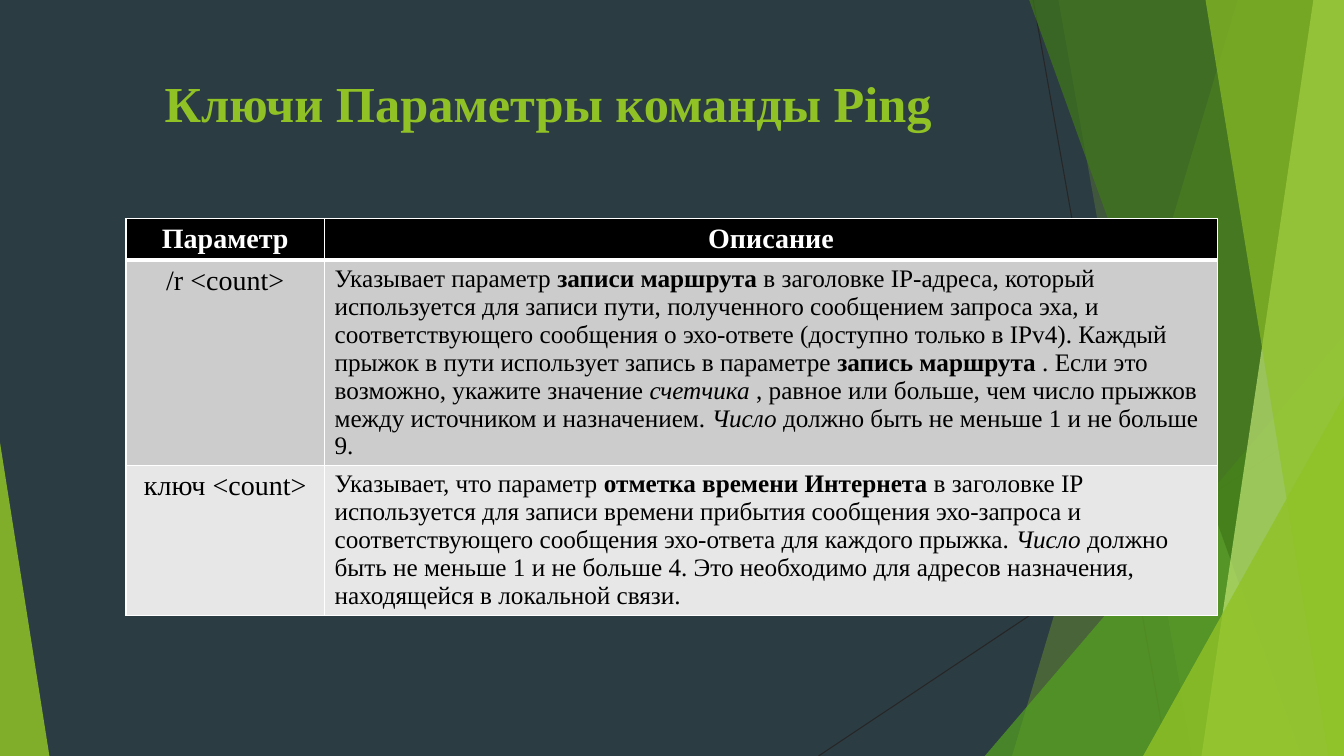
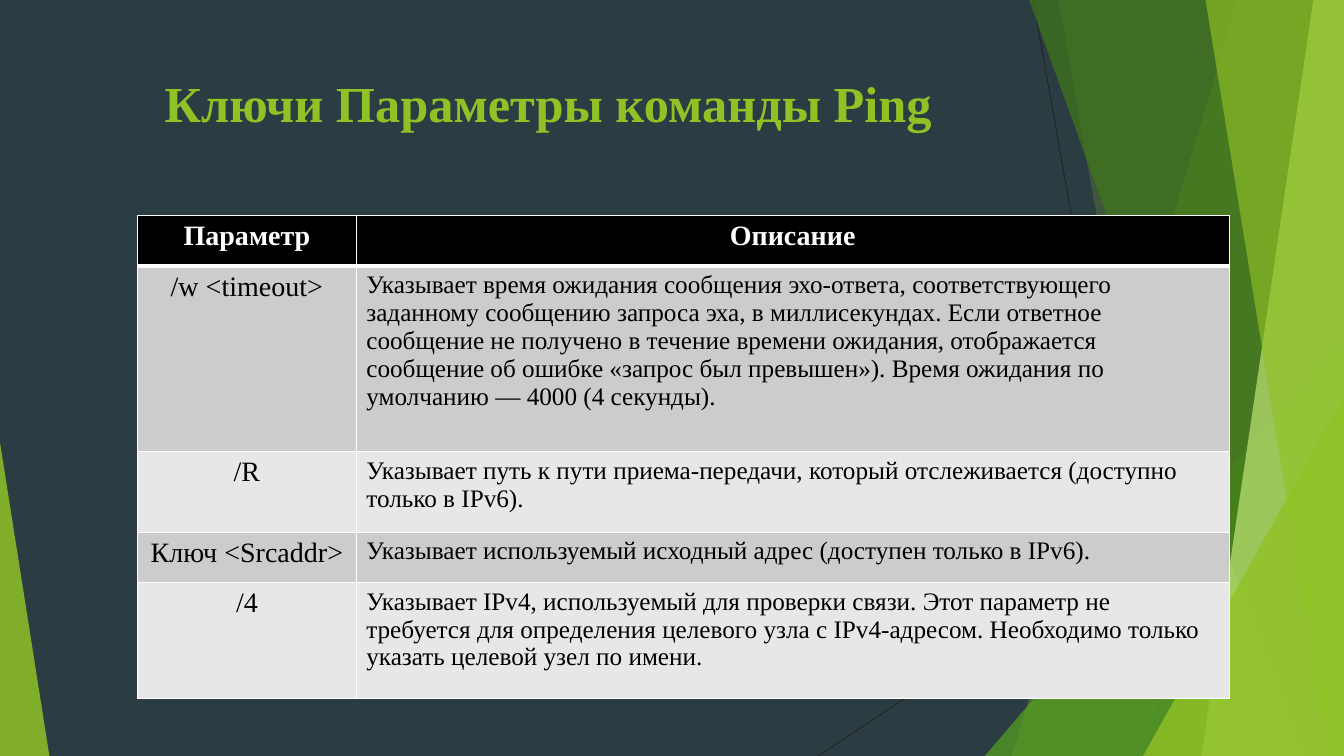
from dataclasses import dataclass

from lxml import etree
from pptx import Presentation
from pptx import util as u
from pptx.dml import color
from pptx.enum import shapes, text
from pptx.oxml import ns

COLORS = {
    "background": "2C3C43",
    "hairline": "262626",
    "lime": "90C226",
    "green": "54A021",
    "forest": "3F7819",
    "pale": "C0E474",
    "white": "FFFFFF",
    "black": "000000",
    "odd": "CCCCCC",
    "even": "E7E7E7",
}
FONT = "Times New Roman"
WIDTH, HEIGHT = 960, 540
HEADINGS = ("Параметр", "Описание")
TITLE = "Ключи Параметры команды Ping"


@dataclass(frozen=True)
class Hairline:
    start: tuple[float, float]
    end: tuple[float, float]


@dataclass(frozen=True)
class Panel:
    top_x: float
    bottom_x: float
    fill: str
    opacity: int


@dataclass(frozen=True)
class Triangle:
    left: float
    top: float
    right: float
    tip: float
    fill: str
    opacity: int


@dataclass(frozen=True)
class Piece:
    text: str
    bold: bool = False
    italic: bool = False


@dataclass(frozen=True)
class Option:
    key: str
    description: tuple[Piece, ...]


@dataclass(frozen=True)
class OptionTable:
    left: float
    top: float
    columns: tuple[float, float]
    heights: tuple[float, ...]
    options: tuple[Option, ...]


BACKDROP = (
    Hairline((738, 0), (833.76, HEIGHT)),
    Hairline((WIDTH, 290.16), (584.64, HEIGHT)),
    Panel(884.16, 722.88, "lime", 30),
    Panel(756, 851.76, "lime", 20),
    Triangle(703.44, 239.76, WIDTH, 1, "green", 72),
    Panel(735.12, 929.52, "forest", 70),
    Panel(938.16, 858.24, "pale", 70),
    Panel(861.12, 948.96, "lime", 65),
    Triangle(816.48, 282.96, WIDTH, 1, "lime", 80),
    Triangle(0, 316.08, 35.28, 0, "lime", 85),
)

TABLES = (
    OptionTable(90, 156.24, (141.84, 637.92), (29.5, 146, 107), (
        Option("/r <count>", (
            Piece("Указывает параметр "),
            Piece("записи маршрута", bold=True),
            Piece(" в заголовке IP-адреса, который используется для записи пути, "
                  "полученного сообщением запроса эха, и соответствующего сообщения "
                  "о эхо-ответе (доступно только в IPv4). Каждый прыжок в пути "
                  "использует запись в параметре "),
            Piece("запись маршрута", bold=True),
            Piece(" . Если это возможно, укажите значение "),
            Piece("счетчика", italic=True),
            Piece(" , равное или больше, чем число прыжков между источником "
                  "и назначением. "),
            Piece("Число", italic=True),
            Piece(" должно быть не меньше 1 и не больше 9."),
        )),
        Option("ключ <count>", (
            Piece("Указывает, что параметр "),
            Piece("отметка времени Интернета", bold=True),
            Piece(" в заголовке IP используется для записи времени прибытия "
                  "сообщения эхо-запроса и соответствующего сообщения эхо-ответа "
                  "для каждого прыжка. "),
            Piece("Число", italic=True),
            Piece(" должно быть не меньше 1 и не больше 4. Это необходимо для "
                  "адресов назначения, находящейся в локальной связи."),
        )),
    )),
    OptionTable(98.28, 154.08, (156.24, 623.52), (36, 132.48, 57.6, 36, 82.8), (
        Option("/w <timeout>", (
            Piece("Указывает время ожидания сообщения эхо-ответа, соответствующего "
                  "заданному сообщению запроса эха, в миллисекундах. Если ответное "
                  "сообщение не получено в течение времени ожидания, отображается "
                  "сообщение об ошибке «запрос был превышен»). Время ожидания по "
                  "умолчанию — 4000 (4 секунды)."),
        )),
        Option("/R", (
            Piece("Указывает путь к пути приема-передачи, который отслеживается "
                  "(доступно только в IPv6)."),
        )),
        Option("Ключ <Srcaddr>", (
            Piece("Указывает используемый исходный адрес (доступен только в IPv6)."),
        )),
        Option("/4", (
            Piece("Указывает IPv4, используемый для проверки связи. Этот параметр "
                  "не требуется для определения целевого узла с IPv4-адресом. "
                  "Необходимо только указать целевой узел по имени."),
        )),
    )),
)


def rgb(name: str) -> color.RGBColor:
    return color.RGBColor.from_string(COLORS[name])


def paint(shape, fill: str, opacity: int) -> None:
    shape.shadow.inherit = False
    shape.line.fill.background()
    shape.fill.solid()
    shape.fill.fore_color.rgb = rgb(fill)
    tint = shape.element.spPr.find(f"{ns.qn('a:solidFill')}/{ns.qn('a:srgbClr')}")
    etree.SubElement(tint, ns.qn("a:alpha"), val=str(opacity * 1000))


def draw_hairline(group, hairline: Hairline) -> None:
    points = [u.Pt(value) for value in hairline.start + hairline.end]
    connector = group.shapes.add_connector(shapes.MSO_CONNECTOR.STRAIGHT, *points)
    connector.line.color.rgb = rgb("hairline")
    connector.line.width = u.Pt(0.75)
    etree.SubElement(connector.element.spPr, ns.qn("a:effectLst"))


def draw_panel(group, panel: Panel) -> None:
    builder = group.shapes.build_freeform(u.Pt(panel.top_x), 0)
    corners = ((WIDTH, 0), (WIDTH, HEIGHT), (panel.bottom_x, HEIGHT))
    builder.add_line_segments([(u.Pt(x), u.Pt(y)) for x, y in corners], close=True)
    paint(builder.convert_to_shape(), panel.fill, panel.opacity)


def draw_triangle(group, triangle: Triangle) -> None:
    shape = group.shapes.add_shape(
        shapes.MSO_SHAPE.ISOSCELES_TRIANGLE,
        u.Pt(triangle.left), u.Pt(triangle.top),
        u.Pt(triangle.right - triangle.left), u.Pt(HEIGHT - triangle.top))
    shape.adjustments[0] = triangle.tip
    paint(shape, triangle.fill, triangle.opacity)


def prepare_layout(layout, slide) -> None:
    layout.background.fill.solid()
    layout.background.fill.fore_color.rgb = rgb("background")
    for placeholder in list(layout.placeholders):
        if placeholder.placeholder_format.type != shapes.PP_PLACEHOLDER.TITLE:
            layout.shapes.element.remove(placeholder.element)
    painters = {Hairline: draw_hairline, Panel: draw_panel, Triangle: draw_triangle}
    group = slide.shapes.add_group_shape()
    for part in BACKDROP:
        painters[type(part)](group, part)
    layout.shapes.element.insert(2, group.element)


def format_run(run, size: float, tone: str, bold: bool = False,
               italic: bool = False) -> None:
    run.font.name = FONT
    run.font.size = u.Pt(size)
    run.font.color.rgb = rgb(tone)
    run.font.bold = bold
    run.font.italic = italic


def set_title(slide) -> None:
    title = slide.shapes.title
    title.left, title.top = u.Pt(53.28), u.Pt(48.24)
    title.width, title.height = u.Pt(676.8), u.Pt(103.68)
    frame = title.text_frame
    frame.text = TITLE
    frame.auto_size = text.MSO_AUTO_SIZE.NONE
    frame.vertical_anchor = text.MSO_ANCHOR.TOP
    paragraph = frame.paragraphs[0]
    paragraph.alignment = text.PP_ALIGN.CENTER
    format_run(paragraph.runs[0], 36, "lime", bold=True)


def style_cell(cell, fill: str, top: float, bottom: float) -> None:
    properties = cell._tc.get_or_add_tcPr()
    for side, width in (("L", 1), ("R", 1), ("T", top), ("B", bottom)):
        border = etree.SubElement(properties, ns.qn(f"a:ln{side}"), w=str(u.Pt(width)))
        solid = etree.SubElement(border, ns.qn("a:solidFill"))
        etree.SubElement(solid, ns.qn("a:srgbClr"), val=COLORS["white"])
    cell.fill.solid()
    cell.fill.fore_color.rgb = rgb(fill)


def write_label(cell, label: str, tone: str, bold: bool = False) -> None:
    cell.text_frame.text = label
    paragraph = cell.text_frame.paragraphs[0]
    paragraph.alignment = text.PP_ALIGN.CENTER
    format_run(paragraph.runs[0], 20, tone, bold)


def write_description(cell, pieces: tuple[Piece, ...]) -> None:
    paragraph = cell.text_frame.paragraphs[0]
    for piece in pieces:
        run = paragraph.add_run()
        run.text = piece.text
        format_run(run, 18, "black", piece.bold, piece.italic)


def add_option_table(slide, layout: OptionTable) -> None:
    table = slide.shapes.add_table(
        len(layout.heights), len(layout.columns), u.Pt(layout.left), u.Pt(layout.top),
        u.Pt(sum(layout.columns)), u.Pt(sum(layout.heights))).table
    for column, width in zip(table.columns, layout.columns):
        column.width = u.Pt(width)
    for row, height in zip(table.rows, layout.heights):
        row.height = u.Pt(height)
    for column, heading in enumerate(HEADINGS):
        cell = table.cell(0, column)
        style_cell(cell, "black", 1, 3)
        write_label(cell, heading, "white", bold=True)
    for row, option in enumerate(layout.options, start=1):
        for column in range(len(HEADINGS)):
            style_cell(table.cell(row, column), "odd" if row % 2 else "even",
                       3 if row == 1 else 1, 1)
        write_label(table.cell(row, 0), option.key, "black")
        write_description(table.cell(row, 1), option.description)


def main() -> None:
    presentation = Presentation()
    presentation.slide_width, presentation.slide_height = u.Pt(WIDTH), u.Pt(HEIGHT)
    layout = presentation.slide_layouts.get_by_name("Title Only")
    for index, option_table in enumerate(TABLES):
        slide = presentation.slides.add_slide(layout)
        if index == 0:
            prepare_layout(layout, slide)
        set_title(slide)
        add_option_table(slide, option_table)
    presentation.save("out.pptx")


if __name__ == "__main__":
    main()
